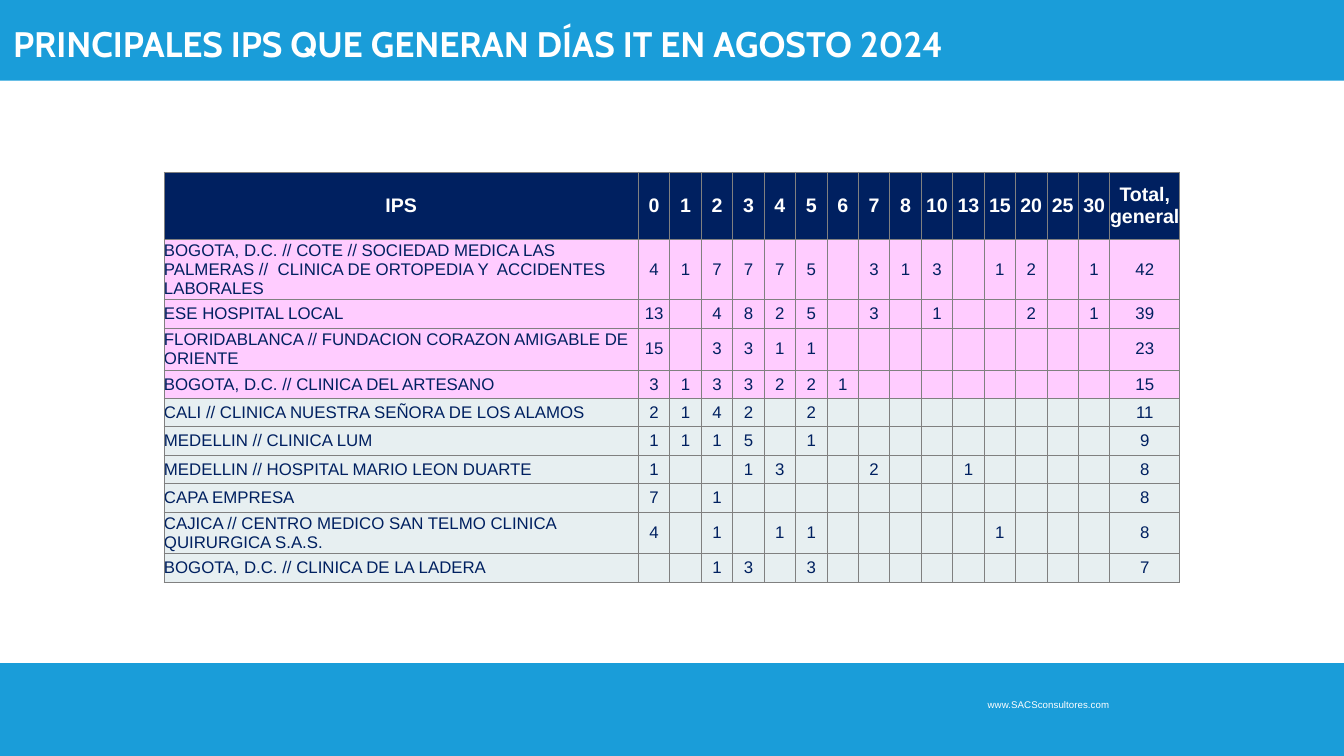
from dataclasses import dataclass

import lxml.etree
import pptx
import pptx.dml.color
import pptx.enum.shapes
import pptx.enum.text
import pptx.oxml
import pptx.oxml.ns
import pptx.util

Inches = pptx.util.Inches
Pt = pptx.util.Pt
ALIGN = pptx.enum.text.PP_ALIGN
MIDDLE = pptx.enum.text.MSO_ANCHOR.MIDDLE


@dataclass(frozen=True)
class Theme:
    band: str = "1A9DD9"
    navy: str = "002060"
    white: str = "FFFFFF"
    top_row: str = "FFCCFF"
    other_row: str = "E7EFF1"
    grid: str = "808080"
    title_font: str = "Cabin"
    body_font: str = "Arial"
    title_size: float = 19
    header_size: float = 10.5
    body_size: float = 9
    footer_size: float = 5.25
    grid_width: float = 0.5


SLIDE_WIDTH = 10
SLIDE_HEIGHT = SLIDE_WIDTH * 9 / 16
DAYS = [0, 1, 2, 3, 4, 5, 6, 7, 8, 10, 13, 15, 20, 25, 30]
TOP_COUNT = 4

# Provider, cases by days of leave, total, lines of the name
PROVIDERS = [
    ("BOGOTA, D.C. // COTE // SOCIEDAD MEDICA LAS PALMERAS //  "
     "CLINICA DE ORTOPEDIA Y  ACCIDENTES LABORALES",
     {0: 4, 1: 1, 2: 7, 3: 7, 4: 7, 5: 5, 7: 3, 8: 1, 10: 3, 15: 1, 20: 2, 30: 1},
     42, 3),
    ("ESE HOSPITAL LOCAL",
     {0: 13, 2: 4, 3: 8, 4: 2, 5: 5, 7: 3, 10: 1, 20: 2, 30: 1}, 39, 1),
    ("FLORIDABLANCA // FUNDACION CORAZON AMIGABLE DE ORIENTE",
     {0: 15, 2: 3, 3: 3, 4: 1, 5: 1}, 23, 2),
    ("BOGOTA, D.C. // CLINICA DEL ARTESANO",
     {0: 3, 1: 1, 2: 3, 3: 3, 4: 2, 5: 2, 6: 1}, 15, 1),
    ("CALI // CLINICA NUESTRA SEÑORA DE LOS ALAMOS",
     {0: 2, 1: 1, 2: 4, 3: 2, 5: 2}, 11, 1),
    ("MEDELLIN // CLINICA LUM", {0: 1, 1: 1, 2: 1, 3: 5, 5: 1}, 9, 1),
    ("MEDELLIN // HOSPITAL MARIO LEON DUARTE",
     {0: 1, 3: 1, 4: 3, 7: 2, 13: 1}, 8, 1),
    ("CAPA EMPRESA", {0: 7, 2: 1}, 8, 1),
    ("CAJICA // CENTRO MEDICO SAN TELMO CLINICA QUIRURGICA S.A.S.",
     {0: 4, 2: 1, 4: 1, 5: 1, 15: 1}, 8, 2),
    ("BOGOTA, D.C. // CLINICA DE LA LADERA", {2: 1, 3: 3, 5: 3}, 7, 1),
]


def rgb(value):
    return pptx.dml.color.RGBColor.from_string(value)


class SlideBuilder:
    def __init__(self, slide, theme):
        self.slide = slide
        self.theme = theme

    def style(self, paragraph, size, color, bold=False, font=None, align=ALIGN.LEFT):
        paragraph.alignment = align
        paragraph.font.name = font or self.theme.body_font
        paragraph.font.size = Pt(size)
        paragraph.font.bold = bold
        paragraph.font.color.rgb = rgb(color)

    def band(self, top, height):
        band = self.slide.shapes.add_shape(
            pptx.enum.shapes.MSO_SHAPE.RECTANGLE,
            Inches(0), Inches(top), Inches(SLIDE_WIDTH), Inches(height))
        band.shadow.inherit = False
        band.fill.solid()
        band.fill.fore_color.rgb = rgb(self.theme.band)
        band.line.fill.background()
        return band

    def title(self, text):
        frame = self.band(0, 0.6).text_frame
        frame.word_wrap = True
        frame.vertical_anchor = MIDDLE
        frame.margin_left = frame.margin_right = Inches(0.1)
        frame.margin_top = frame.margin_bottom = Inches(0.1)
        paragraph = frame.paragraphs[0]
        paragraph.text = text
        paragraph.line_spacing = 1.15
        self.style(paragraph, self.theme.title_size, self.theme.white, True,
                   self.theme.title_font)

    def footer(self, text):
        height = 0.69
        self.band(SLIDE_HEIGHT - height, height)
        box = self.slide.shapes.add_textbox(
            Inches(7.25), Inches(5.15), Inches(1.11), Inches(0.19))
        box.text_frame.word_wrap = False
        paragraph = box.text_frame.paragraphs[0]
        paragraph.text = text
        self.style(paragraph, self.theme.footer_size, self.theme.white)

    def borders(self, cell):
        properties = cell._tc.get_or_add_tcPr()
        for side in ("lnL", "lnR", "lnT", "lnB"):
            properties.append(pptx.oxml.parse_xml(
                f'<a:{side} {pptx.oxml.ns.nsdecls("a")} w="{Pt(self.theme.grid_width)}">'
                f'<a:solidFill><a:srgbClr val="{self.theme.grid}"/></a:solidFill>'
                f'</a:{side}>'))

    def cell(self, cell, text, fill, size, color, bold, align):
        cell.margin_left = cell.margin_right = 0
        cell.margin_top = cell.margin_bottom = 0
        cell.vertical_anchor = MIDDLE
        self.borders(cell)
        cell.fill.solid()
        cell.fill.fore_color.rgb = rgb(fill)
        paragraph = cell.text_frame.paragraphs[0]
        paragraph.text = text
        self.style(paragraph, size, color, bold, align=align)
        if not text:  # an empty cell takes its line height from the end mark
            end_mark = lxml.etree.SubElement(
                paragraph._p, pptx.oxml.ns.qn("a:endParaRPr"))
            end_mark.set("sz", str(Pt(size).centipoints))

    def provider_table(self):
        theme = self.theme
        width, name_width, total_width = 7.56, 3.53, 0.52
        day_width = (width - name_width - total_width) / len(DAYS)
        widths = [name_width] + [day_width] * len(DAYS) + [total_width]

        height, header_height = 3.04, 0.5
        row_heights = {2: 0.31, 3: 0.44}
        name_lines = [lines for *_, lines in PROVIDERS]
        tall = sum(row_heights.get(lines, 0) for lines in name_lines)
        row_heights[1] = (height - header_height - tall) / name_lines.count(1)
        heights = [header_height] + [row_heights[lines] for lines in name_lines]

        rows = [["IPS", *DAYS, "Total, general"]]
        rows += [[name, *(cases.get(day, "") for day in DAYS), total]
                 for name, cases, total, _ in PROVIDERS]

        table = self.slide.shapes.add_table(
            len(rows), len(widths), Inches(1.22), Inches(1.28),
            Inches(width), Inches(height)).table
        for column, column_width in zip(table.columns, widths):
            column.width = Inches(column_width)
        for row, row_height in zip(table.rows, heights):
            row.height = Inches(row_height)

        for r, values in enumerate(rows):
            header = r == 0
            if header:
                look = (theme.navy, theme.header_size, theme.white, True)
            else:
                fill = theme.top_row if r <= TOP_COUNT else theme.other_row
                look = (fill, theme.body_size, theme.navy, False)
            for c, value in enumerate(values):
                align = ALIGN.CENTER if header or c else ALIGN.LEFT
                self.cell(table.cell(r, c), str(value), *look, align)


def main():
    presentation = pptx.Presentation()
    presentation.slide_width = Inches(SLIDE_WIDTH)
    presentation.slide_height = Inches(SLIDE_HEIGHT)
    slide = presentation.slides.add_slide(presentation.slide_layouts[6])
    builder = SlideBuilder(slide, Theme())
    builder.footer("www.SACSconsultores.com")
    builder.title("PRINCIPALES IPS QUE GENERAN DÍAS IT EN AGOSTO 2024")
    builder.provider_table()
    presentation.save("out.pptx")


if __name__ == "__main__":
    main()
